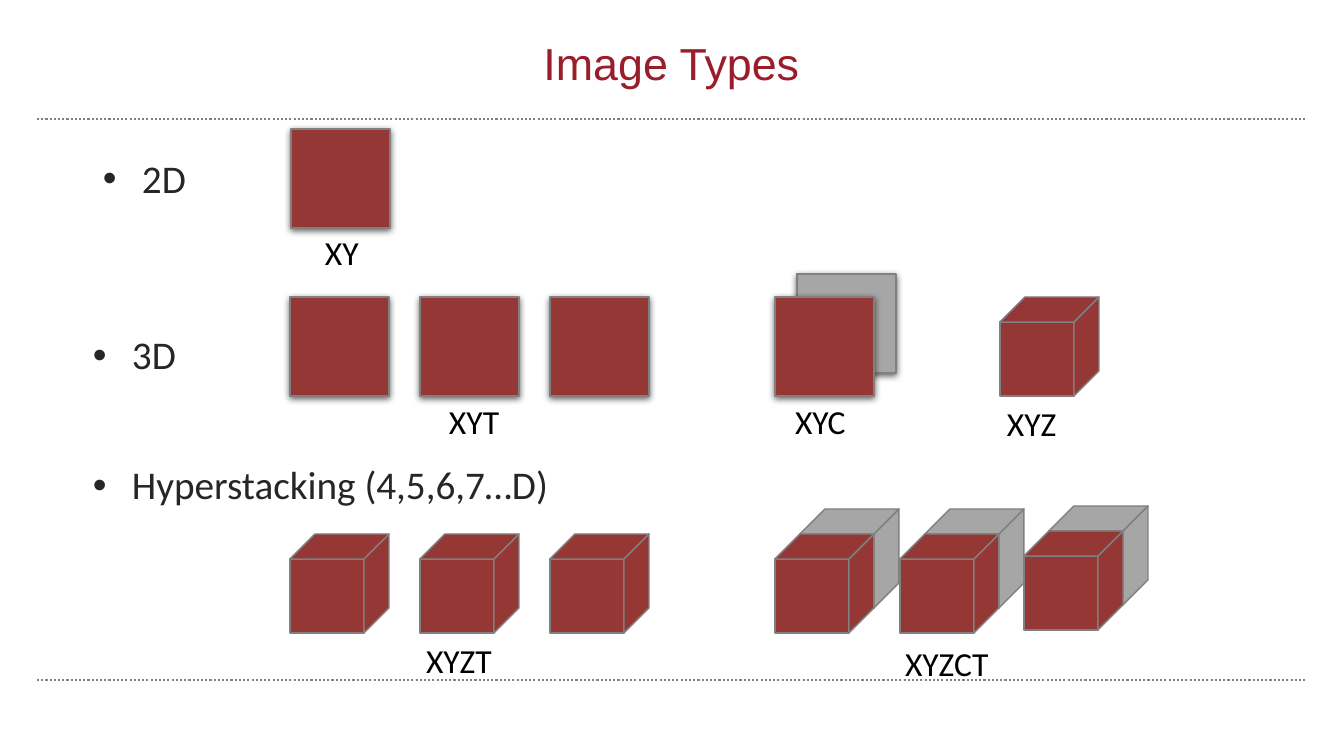
import pptx
import pptx.util
import pptx.dml.color
import pptx.enum.dml
import pptx.enum.shapes
import pptx.enum.text
import pptx.oxml
import pptx.oxml.ns
from dataclasses import dataclass

TITLE = ("Image Types", (266, 28, 811, 67))
RULE_TOPS = (119, 680)
RULE_LEFT, RULE_RIGHT = 37, 1307

# text, box, inset across, inset down, line spacing
BULLETS = [
    ("2D", (93, 149, 1159, 554), 10, 5, 1.0),
    ("Hyperstacking (4,5,6,7…D)", (93, 466, 1159, 87), 0, 0, 0.9),
    ("3D", (93, 336, 1159, 87), 0, 0, 0.9),
]
LABELS = [
    ("XY", (320, 227, 55, 49)),
    ("XYT", (444, 396, 84, 49)),
    ("XYC", (790, 396, 84, 49)),
    ("XYZ", (1002, 398, 84, 49)),
    ("XYZT", (421, 635, 113, 49)),
    ("XYZCT", (900, 638, 113, 49)),
]

SIDE, DEPTH = 99, 25
TIME_POINTS = [290 + 130 * step for step in range(3)]
CHANNEL_CUBES = [(775, 534), (900, 534), (1024, 531)]


@dataclass(frozen=True)
class Theme:
    title: str = "9A1D2B"
    body: str = "262626"
    label: str = "000000"
    first_channel: str = "953735"
    second_channel: str = "A6A6A6"
    outline: str = "808080"
    title_font: str = "Arial"
    body_font: str = "Calibri"
    title_size: int = 32
    body_size: int = 28
    label_size: int = 24


THEME = Theme()
EMU_PER_PX = 914400 / 100.8
DRAWING_NS = pptx.oxml.ns.nsdecls("a")
SHADOW = (
    f'<a:effectLst {DRAWING_NS}><a:outerShdw blurRad="63500" dist="19050" dir="5400000" '
    'rotWithShape="0"><a:srgbClr val="000000"><a:alpha val="63000"/></a:srgbClr>'
    '</a:outerShdw></a:effectLst>'
)


def px(length):
    return pptx.util.Emu(round(length * EMU_PER_PX))


def rgb(colour):
    return pptx.dml.color.RGBColor.from_string(colour)


def add_rule(slide, top):
    rule = slide.shapes.add_connector(
        pptx.enum.shapes.MSO_CONNECTOR.STRAIGHT, px(RULE_LEFT), px(top), px(RULE_RIGHT), px(top))
    rule.line.color.rgb = rgb(THEME.outline)
    rule.line.width = pptx.util.Pt(1.5)
    rule.line.dash_style = pptx.enum.dml.MSO_LINE.ROUND_DOT
    rule._element.spPr.append(pptx.oxml.parse_xml(f"<a:effectLst {DRAWING_NS}/>"))


def add_text(slide, text, box, font, size, colour, inset=(5, 5), wrap=True, bullet=False):
    """Add a one-paragraph text box and return its frame."""
    frame = slide.shapes.add_textbox(*map(px, box)).text_frame
    frame.word_wrap = wrap
    frame.margin_left = frame.margin_right = px(inset[0])
    frame.margin_top = frame.margin_bottom = px(inset[1])
    frame.text = text
    paragraph = frame.paragraphs[0]
    if bullet:
        properties = paragraph._p.get_or_add_pPr()
        properties.set("marL", str(px(39)))
        properties.set("indent", str(-px(39)))
        for element in (f'<a:buClr {DRAWING_NS}><a:srgbClr val="{colour}"/></a:buClr>',
                        f'<a:buFont {DRAWING_NS} typeface="Arial"/>',
                        f'<a:buChar {DRAWING_NS} char="•"/>'):
            properties.append(pptx.oxml.parse_xml(element))
    run_font = paragraph.runs[0].font
    run_font.name = font
    run_font.size = pptx.util.Pt(size)
    run_font.color.rgb = rgb(colour)
    return frame


def paint(shape, colour):
    shape.shadow.inherit = False
    shape.fill.solid()
    shape.fill.fore_color.rgb = rgb(colour)
    shape.line.color.rgb = rgb(THEME.outline)
    shape.line.width = pptx.util.Pt(1)


def add_plane(slide, left, top, colour):
    plane = slide.shapes.add_shape(
        pptx.enum.shapes.MSO_SHAPE.RECTANGLE, px(left), px(top), px(SIDE), px(SIDE))
    paint(plane, colour)
    properties = plane._element.spPr
    properties.replace(properties.find(pptx.oxml.ns.qn("a:effectLst")),
                       pptx.oxml.parse_xml(SHADOW))


def add_cube(slide, left, top, colour):
    """Draw the front, right and top faces as one group."""
    right, bottom = left + SIDE, top + SIDE
    front_right, front_top = right - DEPTH, top + DEPTH
    faces = [
        [(left, front_top), (front_right, front_top), (front_right, bottom), (left, bottom)],
        [(front_right, front_top), (right, top), (right, bottom - DEPTH), (front_right, bottom)],
        [(left, front_top), (left + DEPTH, top), (right, top), (front_right, front_top)],
    ]
    cube = slide.shapes.add_group_shape()
    for start, *corners in faces:
        outline = cube.shapes.build_freeform(*start, scale=EMU_PER_PX)
        outline.add_line_segments(corners, close=True)
        paint(outline.convert_to_shape(), colour)


def main():
    deck = pptx.Presentation()
    deck.slide_width, deck.slide_height = px(1344), px(756)
    slide = deck.slides.add_slide(deck.slide_layouts[6])

    for top in RULE_TOPS:
        add_rule(slide, top)

    title = add_text(slide, *TITLE, THEME.title_font, THEME.title_size, THEME.title, (10, 5))
    title.vertical_anchor = pptx.enum.text.MSO_ANCHOR.BOTTOM
    title.paragraphs[0].alignment = pptx.enum.text.PP_ALIGN.CENTER

    for text, box, across, down, spacing in BULLETS:
        bullet = add_text(slide, text, box, THEME.body_font, THEME.body_size, THEME.body,
                          (across, down), bullet=True)
        bullet.paragraphs[0].line_spacing = spacing

    add_plane(slide, 291, 129, THEME.first_channel)
    add_plane(slide, 797, 274, THEME.second_channel)
    for left in TIME_POINTS + [775]:
        add_plane(slide, left, 297, THEME.first_channel)

    add_cube(slide, 1000, 297, THEME.first_channel)
    for left in TIME_POINTS:
        add_cube(slide, left, 534, THEME.first_channel)
    for left, top in CHANNEL_CUBES:
        add_cube(slide, left + DEPTH, top - DEPTH, THEME.second_channel)
    for left, top in CHANNEL_CUBES:
        add_cube(slide, left, top, THEME.first_channel)

    for text, box in LABELS:
        add_text(slide, text, box, THEME.body_font, THEME.label_size, THEME.label, wrap=False)

    deck.save("out.pptx")


if __name__ == "__main__":
    main()
